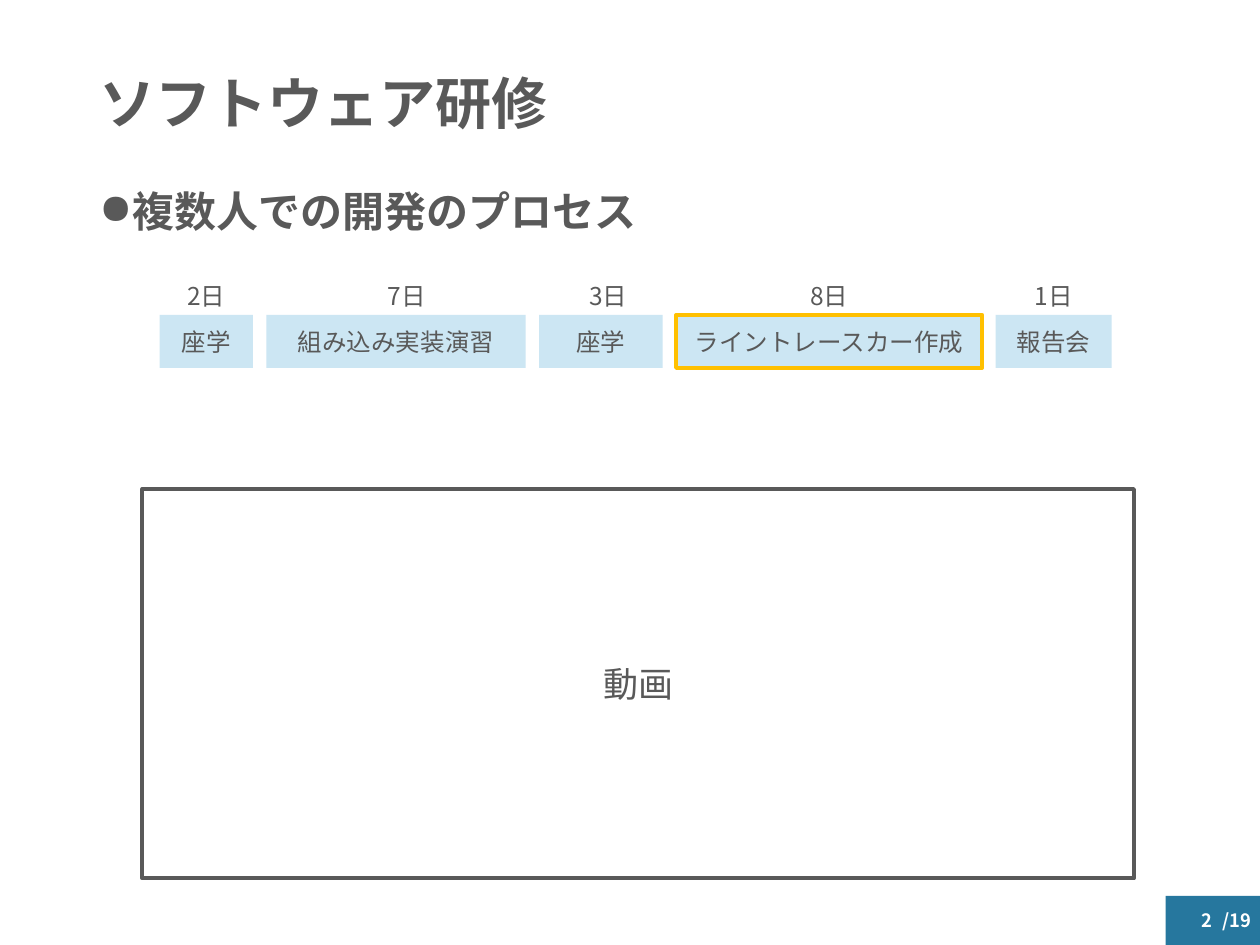
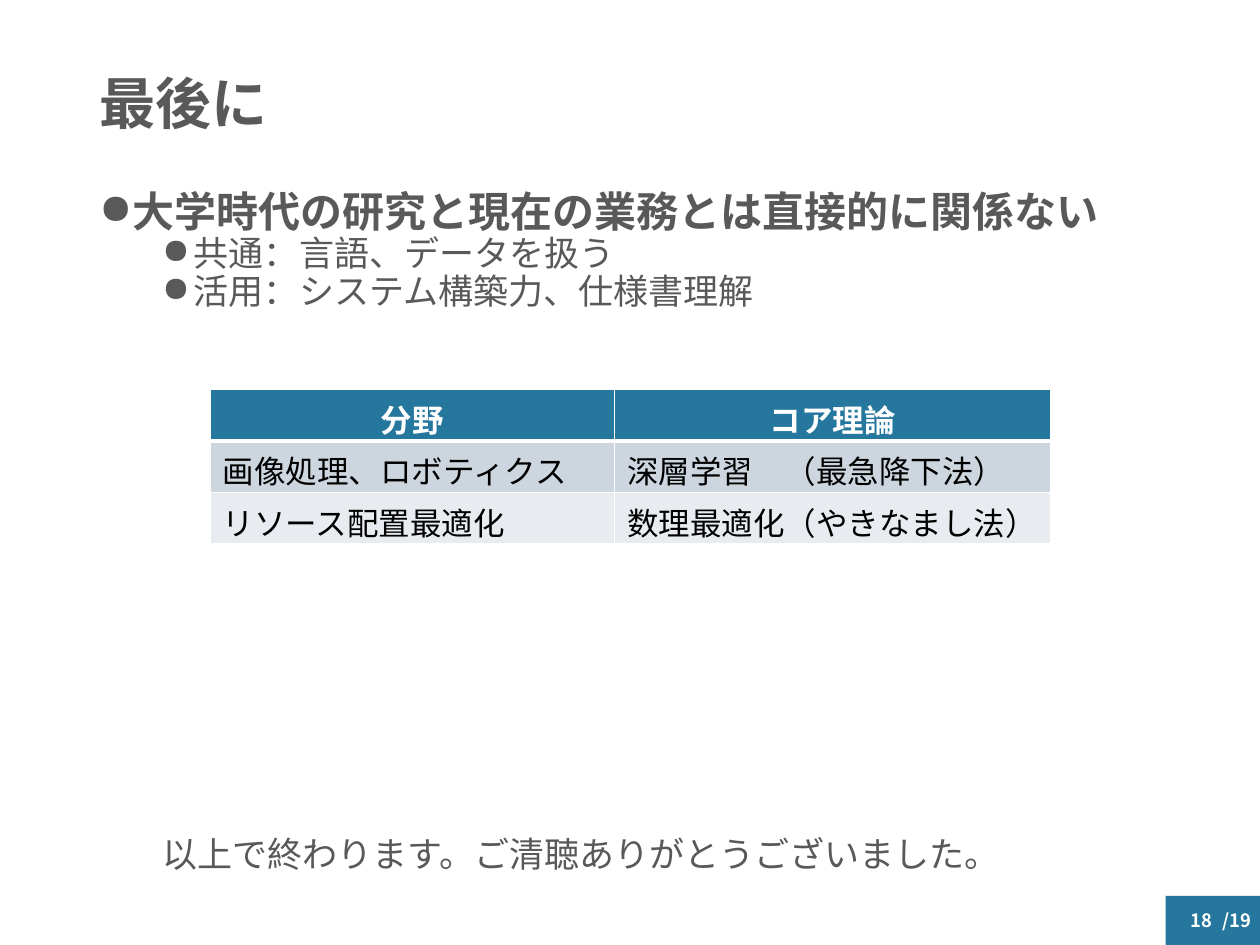
"""Build two training-report slides: a schedule with a video frame, and closing remarks."""
from dataclasses import dataclass

from lxml.etree import SubElement
from pptx import Presentation
from pptx.dml.color import RGBColor
from pptx.enum.shapes import MSO_SHAPE as Preset
from pptx.enum.text import MSO_ANCHOR as Anchor, PP_ALIGN as Align
from pptx.oxml.ns import qn
from pptx.util import Cm, Pt

SCHEDULE_SLIDE = {
    "title": "ソフトウェア研修",
    "page": 2,
    "points": [(0, "複数人での開発のプロセス")],
}
# name, days, width, label shift, highlighted
PHASES = [
    ("座学", "2日", 1.88, 0, False),
    ("組み込み実装演習", "7日", 5.23, 0.21, False),
    ("座学", "3日", 2.49, 0.15, False),
    ("ライントレースカー作成", "8日", 6.17, 0, True),
    ("報告会", "1日", 2.34, 0, False),
]
VIDEO_LABEL = "動画"

CLOSING_SLIDE = {
    "title": "最後に",
    "page": 18,
    "points": [
        (0, "大学時代の研究と現在の業務とは直接的に関係ない"),
        (1, "共通：言語、データを扱う"),
        (1, "活用：システム構築力、仕様書理解"),
    ],
}
FIELDS = [
    ("分野", "コア理論"),
    ("画像処理、ロボティクス", "深層学習　（最急降下法）"),
    ("リソース配置最適化", "数理最適化（やきなまし法）"),
]
CLOSING_WORDS = "以上で終わります。ご清聴ありがとうございました。"
PAGE_TOTAL = "/19"


@dataclass(frozen=True)
class Theme:
    font: str = "Noto Sans CJK JP"
    table_font: str = "Calibri"
    text: str = "595959"
    white: str = "FFFFFF"
    black: str = "000000"
    accent: str = "26779E"
    phase: str = "CCE6F3"
    highlight: str = "FFC000"
    bands: tuple = ("CDD6DF", "E8ECF0")
    title_size: float = 32
    point_sizes: tuple = (24, 20)
    body_size: float = 20
    table_size: float = 18
    phase_size: float = 14
    page_size: float = 10.5
    line_width: float = 2.25


THEME = Theme()
WIDTH, HEIGHT = 25.4, 19.05
MARGIN, CONTENT_WIDTH = 1.75, 21.9
FOOTER = {"top": 18.06, "height": 0.99}
PHASE_LEFT, PHASE_TOP, PHASE_HEIGHT, PHASE_GAP = 3.22, 6.35, 1.07, 0.27
DAYS_TOP, DAYS_WIDTH, DAYS_HEIGHT = 5.54, 2.62, 0.86
COLUMN_WIDTHS, ROW_HEIGHT = (8.15, 8.79), 1.04


def style(paragraph, size, color=THEME.text, bold=False, align=Align.LEFT, font=THEME.font):
    paragraph.alignment = align
    for run in paragraph.runs:
        run.font.size, run.font.bold, run.font.name = Pt(size), bold, font
        run.font.color.rgb = RGBColor.from_string(color)
        SubElement(run.font._element, qn("a:ea"), typeface=THEME.font)


def add_text(slide, text, left, top, width, height, size, anchor=Anchor.TOP, **look):
    frame = slide.shapes.add_textbox(Cm(left), Cm(top), Cm(width), Cm(height)).text_frame
    frame.word_wrap = True
    frame.vertical_anchor = anchor
    frame.text = text
    style(frame.paragraphs[0], size, **look)
    return frame


def add_box(slide, left, top, width, height, fill=None, line=None, text="", size=THEME.body_size):
    shape = slide.shapes.add_shape(Preset.RECTANGLE, Cm(left), Cm(top), Cm(width), Cm(height))
    shape.shadow.inherit = False
    if fill:
        shape.fill.solid()
        shape.fill.fore_color.rgb = RGBColor.from_string(fill)
    else:
        shape.fill.background()
    if line:
        shape.line.color.rgb = RGBColor.from_string(line)
        shape.line.width = Pt(THEME.line_width)
    else:
        shape.line.fill.background()
    shape.text_frame.text = text
    shape.text_frame.vertical_anchor = Anchor.MIDDLE
    style(shape.text_frame.paragraphs[0], size, align=Align.CENTER)


def add_points(slide, points):
    frame = slide.shapes.add_textbox(Cm(MARGIN), Cm(3.73), Cm(CONTENT_WIDTH), Cm(3.5)).text_frame
    frame.word_wrap = True
    for index, (level, text) in enumerate(points):
        paragraph = frame.add_paragraph() if index else frame.paragraphs[0]
        paragraph.text = text
        paragraph.level = level
        paragraph.line_spacing = 0.9
        properties = paragraph._p.get_or_add_pPr()
        properties.set("marL", str(Cm(0.64 + 1.27 * level)))
        properties.set("indent", str(-Cm(0.64)))
        SubElement(properties, qn("a:buChar"), char="●")
        style(paragraph, THEME.point_sizes[level], bold=level == 0)


def add_base_slide(presentation, content):
    slide = presentation.slides.add_slide(presentation.slide_layouts[6])
    add_box(slide, 23.5, width=1.9, fill=THEME.accent, **FOOTER)
    footer_look = {"size": THEME.page_size, "color": THEME.white, "bold": True,
                   "align": Align.RIGHT, "anchor": Anchor.MIDDLE, **FOOTER}
    total = add_text(slide, PAGE_TOTAL, left=24.05, width=1.35, **footer_look)
    total.margin_left = total.margin_right = Cm(0.18)
    add_text(slide, str(content["page"]), left=18.97, width=5.72, **footer_look)
    title = add_text(slide, content["title"], MARGIN, 1.02, CONTENT_WIDTH, 2.26,
                     THEME.title_size, Anchor.MIDDLE, bold=True)
    title.paragraphs[0].line_spacing = 0.9
    add_points(slide, content["points"])
    return slide


def add_phases(slide):
    left = PHASE_LEFT
    for name, days, width, shift, highlighted in PHASES:
        add_box(slide, left, PHASE_TOP, width, PHASE_HEIGHT, THEME.phase,
                THEME.highlight if highlighted else None, name, THEME.phase_size)
        days_left = left + (width - DAYS_WIDTH) / 2 + shift
        add_text(slide, days, days_left, DAYS_TOP, DAYS_WIDTH, DAYS_HEIGHT,
                 THEME.phase_size, align=Align.CENTER)
        left += width + PHASE_GAP


def add_borders(cell, bottom_width):
    properties = cell._tc.get_or_add_tcPr()
    for side, width in (("L", 1), ("R", 1), ("T", 1), ("B", bottom_width)):
        line = SubElement(properties, qn(f"a:ln{side}"), w=str(Pt(width)))
        SubElement(SubElement(line, qn("a:solidFill")), qn("a:srgbClr"), val=THEME.white)


def add_fields_table(slide):
    table = slide.shapes.add_table(
        len(FIELDS), len(COLUMN_WIDTHS), Cm(4.24), Cm(7.85),
        Cm(sum(COLUMN_WIDTHS)), Cm(ROW_HEIGHT * len(FIELDS))).table
    for column, width in zip(table.columns, COLUMN_WIDTHS):
        column.width = Cm(width)
    for row_index, row in enumerate(FIELDS):
        header = row_index == 0
        fill = THEME.accent if header else THEME.bands[row_index - 1]
        for column_index, text in enumerate(row):
            cell = table.cell(row_index, column_index)
            cell.text = text
            add_borders(cell, 3 if header else 1)
            cell.fill.solid()
            cell.fill.fore_color.rgb = RGBColor.from_string(fill)
            style(cell.text_frame.paragraphs[0], THEME.table_size,
                  THEME.white if header else THEME.black, header,
                  Align.CENTER if header else Align.LEFT, THEME.table_font)


def main():
    presentation = Presentation()
    presentation.slide_width, presentation.slide_height = Cm(WIDTH), Cm(HEIGHT)

    schedule = add_base_slide(presentation, SCHEDULE_SLIDE)
    add_phases(schedule)
    add_box(schedule, 2.87, 9.86, 19.99, 7.85, line=THEME.text, text=VIDEO_LABEL)

    closing = add_base_slide(presentation, CLOSING_SLIDE)
    add_fields_table(closing)
    add_text(closing, CLOSING_WORDS, 3.02, 16.65, 20.63, 1.1, THEME.body_size)

    presentation.save("out.pptx")


if __name__ == "__main__":
    main()
